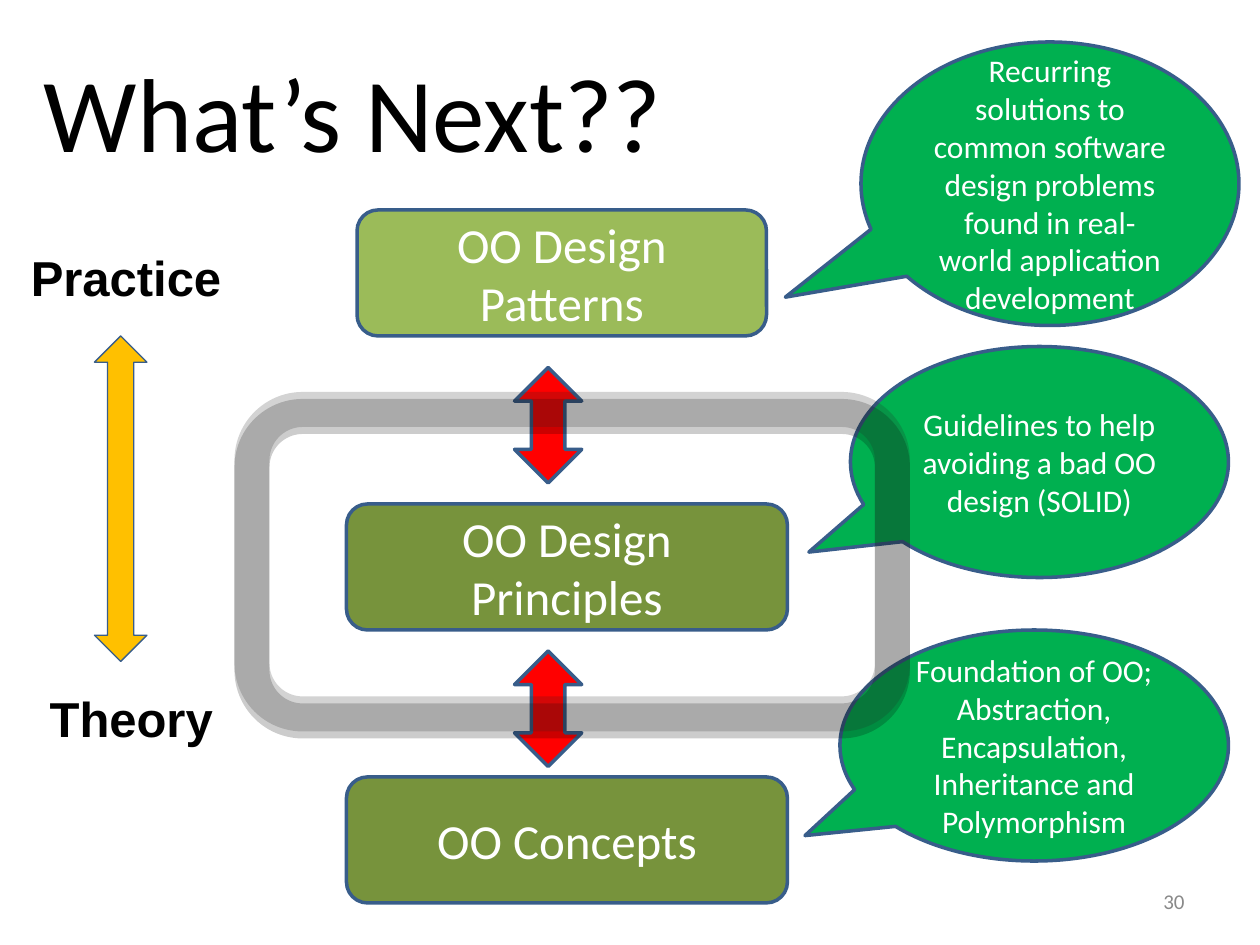
from lxml import etree
from pptx import Presentation
from pptx.dml.color import RGBColor
from pptx.enum.shapes import MSO_SHAPE
from pptx.enum.text import MSO_ANCHOR, MSO_AUTO_SIZE, PP_ALIGN
from pptx.oxml.ns import qn
from pptx.util import Emu, Pt

ROUND = MSO_SHAPE.ROUNDED_RECTANGLE
ARROW = MSO_SHAPE.UP_DOWN_ARROW
BUBBLE = MSO_SHAPE.OVAL_CALLOUT
TOP, MIDDLE = MSO_ANCHOR.TOP, MSO_ANCHOR.MIDDLE
LEFT, CENTER, RIGHT = PP_ALIGN.LEFT, PP_ALIGN.CENTER, PP_ALIGN.RIGHT
FIT = MSO_AUTO_SIZE.SHAPE_TO_FIT_TEXT

SCALE = 7620
COLORS = {
    "black": "000000", "white": "FFFFFF", "gray": "898989",
    "olive": "77933C", "lime": "9BBB59", "green": "00B050",
    "red": "FF0000", "gold": "FFC000", "edge": "385D8A", "frame": "262626",
}


def px(n):
    return Emu(n * SCALE)


def rgb(name):
    return RGBColor.from_string(COLORS[name])


def write(shape, text, size=28, color="white", font="Calibri", bold=False,
          align=CENTER, anchor=MIDDLE):
    frame = shape.text_frame
    frame.word_wrap = True
    frame.vertical_anchor = anchor
    para = frame.paragraphs[0]
    para.alignment = align
    run = para.add_run()
    run.text = text
    run.font.size = Pt(size)
    run.font.name = font
    run.font.bold = bold
    run.font.color.rgb = rgb(color)


def add_form(slide, kind, box, fill=None, adjust=(), edge="edge", width=2):
    shape = slide.shapes.add_shape(kind, *map(px, box))
    shape.shadow.inherit = False
    for i, value in enumerate(adjust):
        shape.adjustments[i] = value
    if fill:
        shape.fill.solid()
        shape.fill.fore_color.rgb = rgb(fill)
    else:
        shape.fill.background()
    shape.line.color.rgb = rgb(edge)
    shape.line.width = Pt(width)
    return shape


def add_label(slide, box, text, fit=False, **style):
    label = slide.shapes.add_textbox(*map(px, box))
    write(label, text, **style)
    if fit:
        label.text_frame.auto_size = FIT


def add_frame(slide, box):
    frame = add_form(slide, ROUND, box, edge="frame", width=20)
    props = frame._element.spPr
    tint = props.find(qn("a:ln")).find(".//" + qn("a:srgbClr"))
    etree.SubElement(tint, qn("a:alpha"), val="20000")
    shade = etree.SubElement(props.find(qn("a:effectLst")), qn("a:outerShdw"),
                             blurRad="0", dist=str(Pt(4)), dir="5400000",
                             rotWithShape="0")
    etree.SubElement(shade, qn("a:srgbClr"), val=COLORS["black"])


def main():
    deck = Presentation()
    deck.slide_width, deck.slide_height = px(1200), px(900)
    slide = deck.slides.add_slide(deck.slide_layouts[6])

    add_label(slide, (30, 30, 940, 150), "What’s Next??", size=60,
              color="black", align=LEFT)

    for text, left, top, width, fill in (
        ("OO Concepts", 330, 740, 420, "olive"),
        ("OO Design Principles", 330, 480, 420, "olive"),
        ("OO Design Patterns", 340, 200, 390, "lime"),
    ):
        write(add_form(slide, ROUND, (left, top, width, 120), fill), text)

    for top in (350, 620):
        add_form(slide, ARROW, (490, top, 64, 110), "red", (0.5, 0.5))

    for text, box, tip in (
        ("Foundation of OO; Abstraction, Encapsulation, Inheritance and "
         "Polymorphism", (800, 600, 370, 220), (-0.59, 0.39)),
        ("Guidelines to help avoiding a bad OO design (SOLID)",
         (810, 330, 360, 220), (-0.61, 0.39)),
        ("Recurring solutions to common software design problems found in "
         "real-world application development",
         (820, 40, 360, 270), (-0.7, 0.4)),
    ):
        write(add_form(slide, BUBBLE, box, "green", tip), text, size=18)

    add_form(slide, ARROW, (90, 320, 50, 310), "gold", (0.5, 0.5), width=0)
    for text, box in (("Practice", (0, 230, 240, 68)),
                      ("Theory", (30, 650, 190, 68))):
        add_label(slide, box, text, fit=True, color="black", font="Arial",
                  bold=True, anchor=TOP)

    add_label(slide, (860, 834, 280, 48), "30", size=12, color="gray",
              align=RIGHT)
    add_frame(slide, (240, 390, 610, 290))
    deck.save("out.pptx")


if __name__ == "__main__":
    main()
